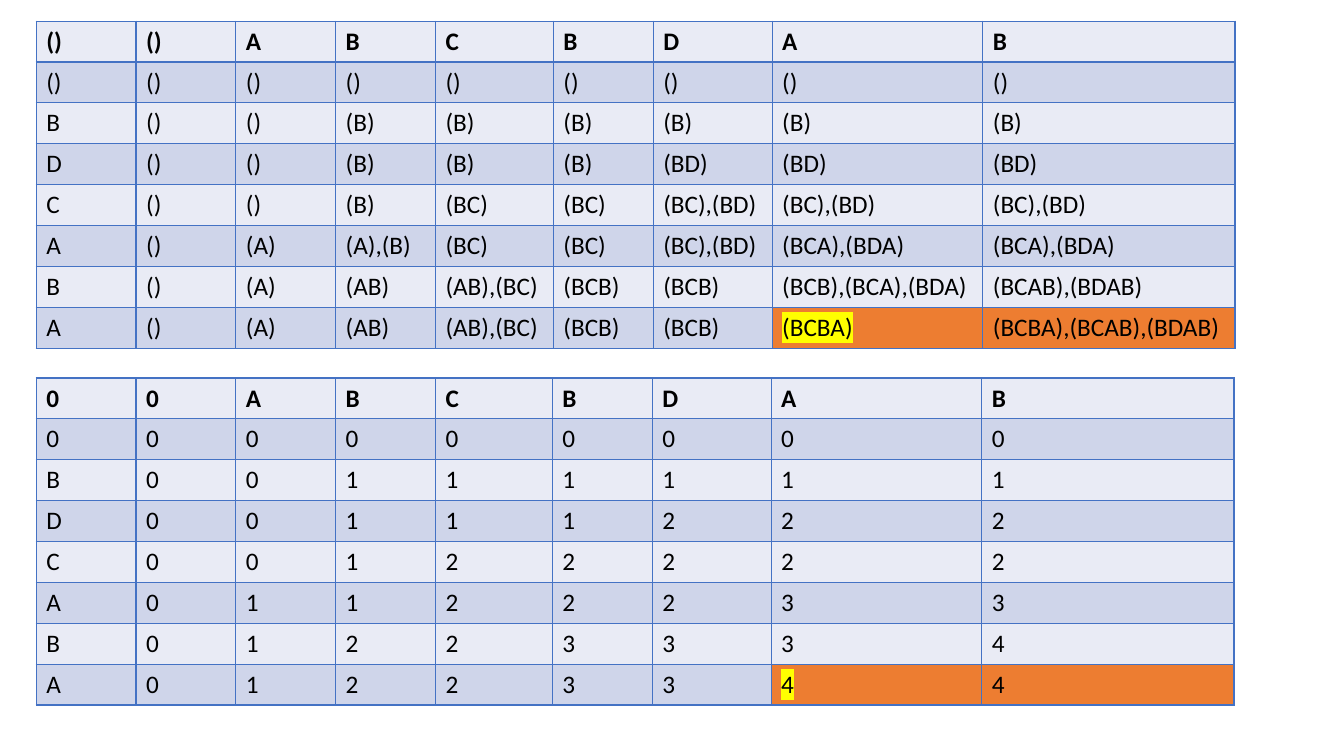
from lxml import etree
from pptx import Presentation
from pptx.dml.color import RGBColor
from pptx.oxml.ns import qn
from pptx.util import Inches, Pt

BORDER = "4472C4"
BANDS = ("E9EBF5", "CFD5EA")
RESULT = "ED7D31"
MARKER = "FFFF00"

SEQUENCES = """
() () A B C B D A B
() () () () () () () () ()
B () () (B) (B) (B) (B) (B) (B)
D () () (B) (B) (B) (BD) (BD) (BD)
C () () (B) (BC) (BC) (BC),(BD) (BC),(BD) (BC),(BD)
A () (A) (A),(B) (BC) (BC) (BC),(BD) (BCA),(BDA) (BCA),(BDA)
B () (A) (AB) (AB),(BC) (BCB) (BCB) (BCB),(BCA),(BDA) (BCAB),(BDAB)
A () (A) (AB) (AB),(BC) (BCB) (BCB) (BCBA) (BCBA),(BCAB),(BDAB)
"""
LENGTHS = """
0 0 A B C B D A B
0 0 0 0 0 0 0 0 0
B 0 0 1 1 1 1 1 1
D 0 0 1 1 1 2 2 2
C 0 0 1 2 2 2 2 2
A 0 1 1 2 2 2 3 3
B 0 1 2 2 3 3 3 4
A 0 1 2 2 3 3 4 4
"""


def rgb(color):
    return RGBColor.from_string(color)


class SlideBuilder:
    font = "Calibri"
    size = 18

    def __init__(self, slide):
        self.slide = slide

    def add_color(self, parent, color):
        etree.SubElement(parent, qn("a:srgbClr"), val=color)

    def border(self, cell):
        tcPr = cell._tc.get_or_add_tcPr()
        for side in ("lnL", "lnR", "lnT", "lnB"):
            ln = etree.SubElement(tcPr, qn(f"a:{side}"), w=str(Pt(1)))
            self.add_color(etree.SubElement(ln, qn("a:solidFill")), BORDER)

    def highlight(self, r):
        mark = etree.Element(qn("a:highlight"))
        self.add_color(mark, MARKER)
        r._r.rPr.find(qn("a:solidFill")).addnext(mark)

    def cell(self, cell, text, fill, bold, marked):
        self.border(cell)
        cell.fill.solid()
        cell.fill.fore_color.rgb = rgb(fill)
        cell.text_frame.text = text
        r = cell.text_frame.paragraphs[0].runs[0]
        r.font.name = self.font
        r.font.size = Pt(self.size)
        r.font.bold = bold
        r.font.color.rgb = rgb("000000")
        if marked:
            self.highlight(r)

    def table(self, top, widths, height, text):
        rows = [line.split() for line in text.strip().splitlines()]
        last_row, first_result = len(rows) - 1, len(widths) - 2
        table = self.slide.shapes.add_table(
            len(rows), len(widths), Inches(0.36), Inches(top),
            Inches(sum(widths)), Inches(height)).table
        for column, width in zip(table.columns, widths):
            column.width = Inches(width)
        for i, row in enumerate(rows):
            for j, value in enumerate(row):
                is_result = i == last_row and j >= first_result
                self.cell(table.cell(i, j), value,
                          RESULT if is_result else BANDS[i % 2],
                          bold=i == 0,
                          marked=is_result and j == first_result)


def main():
    prs = Presentation()
    prs.slide_width = Inches(13.33)
    prs.slide_height = Inches(7.5)
    builder = SlideBuilder(prs.slides.add_slide(prs.slide_layouts[6]))
    for top, c_width, text in ((0.21, 1.17, SEQUENCES), (3.75, 1.16, LENGTHS)):
        widths = [0.99] * 4 + [c_width, 0.99, 1.18, 2.09, 2.5]
        builder.table(top, widths, 3.24, text)
    prs.save("out.pptx")


if __name__ == "__main__":
    main()
